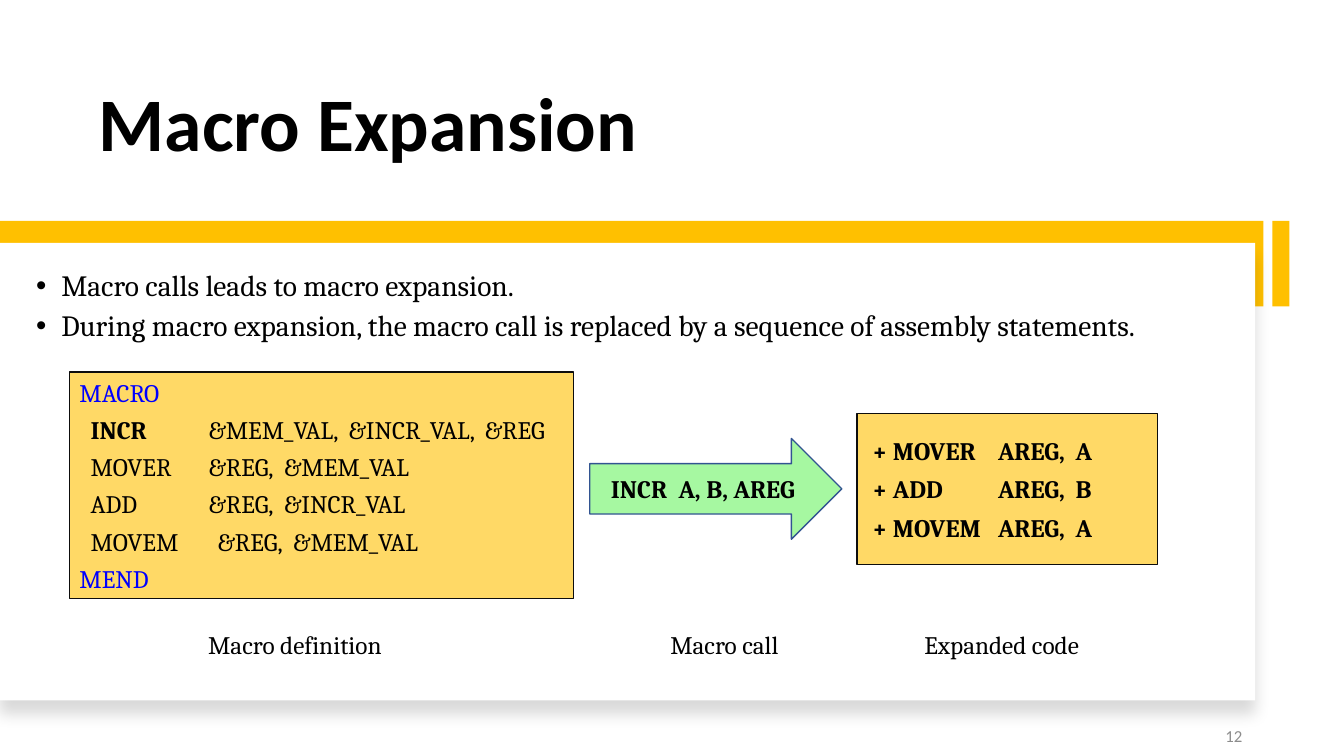
from dataclasses import dataclass

import pptx
import pptx.dml.color
import pptx.enum.shapes
import pptx.enum.text
import pptx.oxml
import pptx.oxml.ns
import pptx.util
from pptx.util import Inches

SHAPE = pptx.enum.shapes.MSO_SHAPE
ANCHOR = pptx.enum.text.MSO_ANCHOR
ALIGN = pptx.enum.text.PP_ALIGN
BLACK, WHITE, BLUE = "000000", "FFFFFF", "0000FF"
GOLD, SAND, INK = "FFC000", "FFD966", "0D0D0D"
DRAWING = 'xmlns:a="http://schemas.openxmlformats.org/drawingml/2006/main"'


@dataclass(frozen=True)
class Span:
    text: str
    size: float = 18
    color: str = BLACK
    bold: bool = False
    font: str = "Cambria"


@dataclass(frozen=True)
class Line:
    spans: tuple[Span, ...]
    align: ALIGN = ALIGN.LEFT
    before: float = 0
    after: float = 0
    spacing: float = 1.0
    bullet: bool = False
    tabs: tuple[float, ...] = ()


@dataclass(frozen=True)
class Block:
    left: float
    top: float
    width: float
    height: float
    fill: str
    outline: str = ""
    kind: SHAPE = SHAPE.RECTANGLE
    lines: tuple[Line, ...] = ()
    anchor: ANCHOR = ANCHOR.MIDDLE
    inset: float = 0.1


def rgb(color: str) -> pptx.dml.color.RGBColor:
    return pptx.dml.color.RGBColor.from_string(color)


def add_tabs_and_bullet(para, line: Line) -> None:
    properties = para._p.get_or_add_pPr()
    if line.bullet:
        properties.set("marL", str(Inches(0.25)))
        properties.set("indent", str(-Inches(0.25)))
        properties.append(pptx.oxml.parse_xml(f'<a:buFont {DRAWING} typeface="Arial"/>'))
        properties.append(pptx.oxml.parse_xml(f'<a:buChar {DRAWING} char="•"/>'))
    if line.tabs:
        stops = "".join(f'<a:tab pos="{Inches(tab)}" algn="l"/>' for tab in line.tabs)
        properties.append(pptx.oxml.parse_xml(f"<a:tabLst {DRAWING}>{stops}</a:tabLst>"))


def write(frame, lines: tuple[Line, ...], anchor: ANCHOR = ANCHOR.TOP) -> None:
    frame.word_wrap = True
    frame.auto_size = pptx.enum.text.MSO_AUTO_SIZE.NONE
    frame.vertical_anchor = anchor
    for index, line in enumerate(lines):
        para = frame.add_paragraph() if index else frame.paragraphs[0]
        para.alignment = line.align
        para.line_spacing = line.spacing
        para.space_before = pptx.util.Pt(line.before if index else 0)
        para.space_after = pptx.util.Pt(line.after)
        add_tabs_and_bullet(para, line)
        for span in line.spans:
            run = para.add_run()
            run.text = span.text
            run.font.name = span.font
            run.font.size = pptx.util.Pt(span.size)
            run.font.bold = span.bold
            run.font.color.rgb = rgb(span.color)


def add_block(page, block: Block):
    place = map(Inches, (block.left, block.top, block.width, block.height))
    shape = page.shapes.add_shape(block.kind, *place)
    shape.shadow.inherit = False
    shape.fill.solid()
    shape.fill.fore_color.rgb = rgb(block.fill)
    if block.outline:
        shape.line.color.rgb = rgb(block.outline)
        shape.line.width = pptx.util.Pt(1)
    else:
        shape.line.fill.background()
    if block.lines:
        shape.text_frame.margin_left = Inches(block.inset)
        write(shape.text_frame, block.lines, block.anchor)
    return shape


def add_text(page, left: float, top: float, width: float, height: float,
             lines: tuple[Line, ...], anchor: ANCHOR = ANCHOR.TOP) -> None:
    box = page.shapes.add_textbox(*map(Inches, (left, top, width, height)))
    write(box.text_frame, lines, anchor)


def add_soft_shadow(shape) -> None:
    effects = shape._element.spPr.find(pptx.oxml.ns.qn("a:effectLst"))
    effects.append(pptx.oxml.parse_xml(
        f'<a:outerShdw {DRAWING} blurRad="{pptx.util.Pt(11)}" dist="{pptx.util.Pt(10)}" '
        'dir="5400000" algn="t" rotWithShape="0"><a:srgbClr val="000000">'
        '<a:alpha val="15000"/></a:srgbClr></a:outerShdw>'))


def set_opacity(shape, percent: int) -> None:
    color = shape._element.spPr.find(
        f"{pptx.oxml.ns.qn('a:solidFill')}/{pptx.oxml.ns.qn('a:srgbClr')}")
    color.append(pptx.oxml.parse_xml(f'<a:alpha {DRAWING} val="{percent * 1000}"/>'))


def macro_line(*spans: Span, tabs: tuple[float, ...] = ()) -> Line:
    return Line(spans, ALIGN.JUSTIFY, before=3, after=2, tabs=tabs)


MACRO_DEFINITION = (
    macro_line(Span("MACRO", color=BLUE)),
    macro_line(Span("  "), Span("INCR", bold=True),
               Span("\t&MEM_VAL,\t&INCR_VAL,\t&REG"), tabs=(1.28, 2.67, 4.02)),
    macro_line(Span("  MOVER\t&REG,\t&MEM_VAL"), tabs=(1.28, 2.03)),
    macro_line(Span("  ADD\t&REG,\t&INCR_VAL"), tabs=(1.28, 2.03)),
    macro_line(Span("  MOVEM\t&REG,\t&MEM_VAL"), tabs=(1.37, 2.12)),
    macro_line(Span("MEND", color=BLUE)),
)
EXPANDED_CODE = tuple(
    Line((Span(f" + {code}", bold=True),), ALIGN.JUSTIFY, after=6, tabs=(1.3, 2.07))
    for code in ("MOVER\tAREG,\tA", "ADD\tAREG,\tB", "MOVEM\tAREG,\tA"))
MACRO_CALL = (Line((Span("INCR\tA, B, AREG", bold=True),), tabs=(0.67,)),)
POINTS = (
    "Macro calls leads to macro expansion.",
    "During macro expansion, the macro call is replaced by a sequence of assembly statements.",
)
CAPTIONS = {"Macro definition": 1.59, "Macro call": 5.85, "Expanded code": 8.6}


def main() -> None:
    deck = pptx.Presentation()
    deck.slide_width, deck.slide_height = Inches(13.33), Inches(7.5)
    page = deck.slides.add_slide(deck.slide_layouts[5])

    title = page.shapes.title
    title.left, title.top = Inches(0.88), Inches(0.42)
    title.width, title.height = Inches(10.1), Inches(1.3)
    heading = Span("Macro Expansion", 54, bold=True, font="Calibri")
    write(title.text_frame, (Line((heading,), spacing=0.9),), ANCHOR.BOTTOM)

    add_block(page, Block(12.62, 2.19, 0.17, 0.85, GOLD))
    add_block(page, Block(0, 2.19, 12.53, 0.85, GOLD))
    add_soft_shadow(add_block(page, Block(0, 2.41, 12.45, 4.54, WHITE)))

    add_text(page, 0.26, 2.64, 11.68, 1.36, tuple(
        Line((Span(point, 21),), before=3, after=3, spacing=0.9, bullet=True)
        for point in POINTS))
    number = Span("12", 12, "8C8C8C", font="Calibri")
    add_text(page, 9.42, 7.1, 3, 0.4, (Line((number,), ALIGN.RIGHT, after=6),), ANCHOR.MIDDLE)

    add_block(page, Block(0.69, 3.69, 5, 2.25, SAND, INK,
                          lines=MACRO_DEFINITION, anchor=ANCHOR.TOP))
    arrow = add_block(page, Block(5.85, 4.35, 2.5, 1, "31EF27", "325491",
                                  SHAPE.RIGHT_ARROW, MACRO_CALL, inset=0.21))
    set_opacity(arrow, 43)
    add_block(page, Block(8.5, 4.1, 2.98, 1.5, SAND, INK, lines=EXPANDED_CODE))

    for caption, left in CAPTIONS.items():
        add_block(page, Block(left, 6.02, 2.67, 0.75, WHITE,
                              lines=(Line((Span(caption),), ALIGN.CENTER),)))

    deck.save("out.pptx")


if __name__ == "__main__":
    main()
